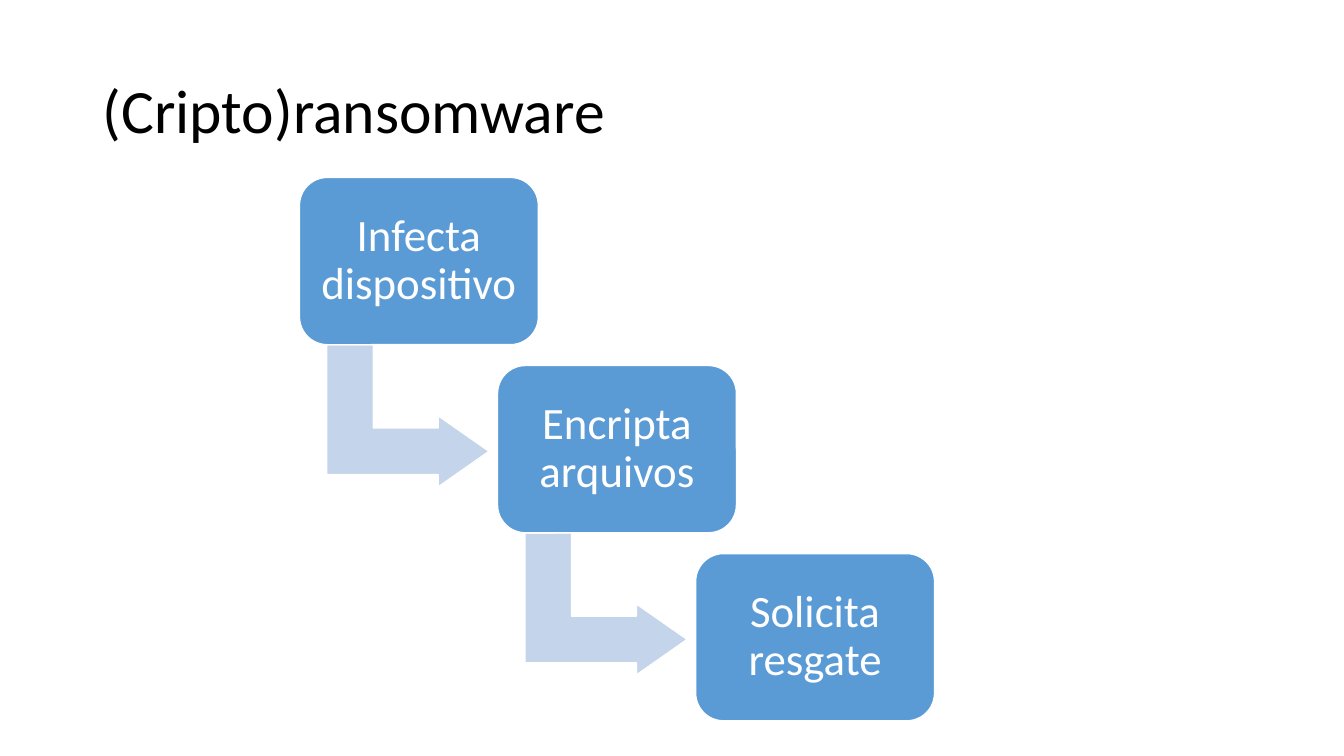
from dataclasses import dataclass

from pptx import Presentation
from pptx.dml.color import RGBColor
from pptx.enum.shapes import MSO_SHAPE
from pptx.enum.text import MSO_ANCHOR, PP_ALIGN
from pptx.util import Inches, Pt


@dataclass(frozen=True)
class Theme:
    font: str = "Calibri"
    title_size: int = 44
    step_size: int = 32
    ink: str = "000000"
    white: str = "FFFFFF"
    step_fill: str = "5B9BD5"
    arrow_fill: str = "C4D5EB"


class Board:
    """Draws on one page; places are percentages of the slide's size."""

    def __init__(self, deck, theme):
        self.deck, self.theme = deck, theme
        self.page = deck.slides.add_slide(deck.slide_layouts[6])

    def place(self, left, top, width, height):
        across, down = self.deck.slide_width / 100, self.deck.slide_height / 100
        return (round(left * across), round(top * down),
                round(width * across), round(height * down))

    def set_text(self, box, text, size, color, align, margins):
        frame = box.text_frame
        frame_format = {"word_wrap": True, "vertical_anchor": MSO_ANCHOR.MIDDLE, **margins}
        for name, value in frame_format.items():
            setattr(frame, name, value)
        para = frame.paragraphs[0]
        para.alignment, para.line_spacing = align, 0.9
        span = para.add_run()
        span.text = text
        for name, value in {"name": self.theme.font, "size": Pt(size)}.items():
            setattr(span.font, name, value)
        span.font.color.rgb = RGBColor.from_string(color)

    def shape(self, kind, place, fill, adjustments):
        box = self.page.shapes.add_shape(kind, *self.place(*place))
        box.shadow.inherit = False
        box.fill.solid()
        box.fill.fore_color.rgb = RGBColor.from_string(fill)
        box.line.color.rgb = RGBColor.from_string(self.theme.white)
        box.line.width = Pt(1)
        for index, value in enumerate(adjustments):
            box.adjustments[index] = value
        return box

    def title(self, text, place):
        box = self.page.shapes.add_textbox(*self.place(*place))
        self.set_text(box, text, self.theme.title_size, self.theme.ink, PP_ALIGN.LEFT, {})

    def step(self, text, place):
        box = self.shape(MSO_SHAPE.ROUNDED_RECTANGLE, place, self.theme.step_fill, [0.167])
        sides = ("left", "top", "right", "bottom")
        margins = {f"margin_{side}": Inches(0.12) for side in sides}
        self.set_text(box, text, self.theme.step_size, self.theme.white,
                      PP_ALIGN.CENTER, margins)

    def bent_arrow(self, place):
        arrow = self.shape(MSO_SHAPE.BENT_UP_ARROW, place, self.theme.arrow_fill,
                           [0.328, 0.25, 0.358])
        arrow.rotation = 90


def main():
    deck = Presentation()
    deck.slide_width, deck.slide_height = Inches(13.33), Inches(7.5)
    board = Board(deck, Theme())

    # Title
    board.title("(Cripto)ransomware", (6.9, 5.33, 86.27, 19.33))

    # Staircase: each step moves right and down by the same amount
    steps = ["Infecta dispositivo", "Encripta arquivos", "Solicita resgate"]
    for index, text in enumerate(steps):
        right, down = index * 14.74, index * 24.88
        if index < len(steps) - 1:
            board.bent_arrow((25.06 + right, 44.27 + down, 10.58, 21.47))
        board.step(text, (22.28 + right, 23.47 + down, 17.78, 22.13))

    deck.save("out.pptx")


if __name__ == "__main__":
    main()
